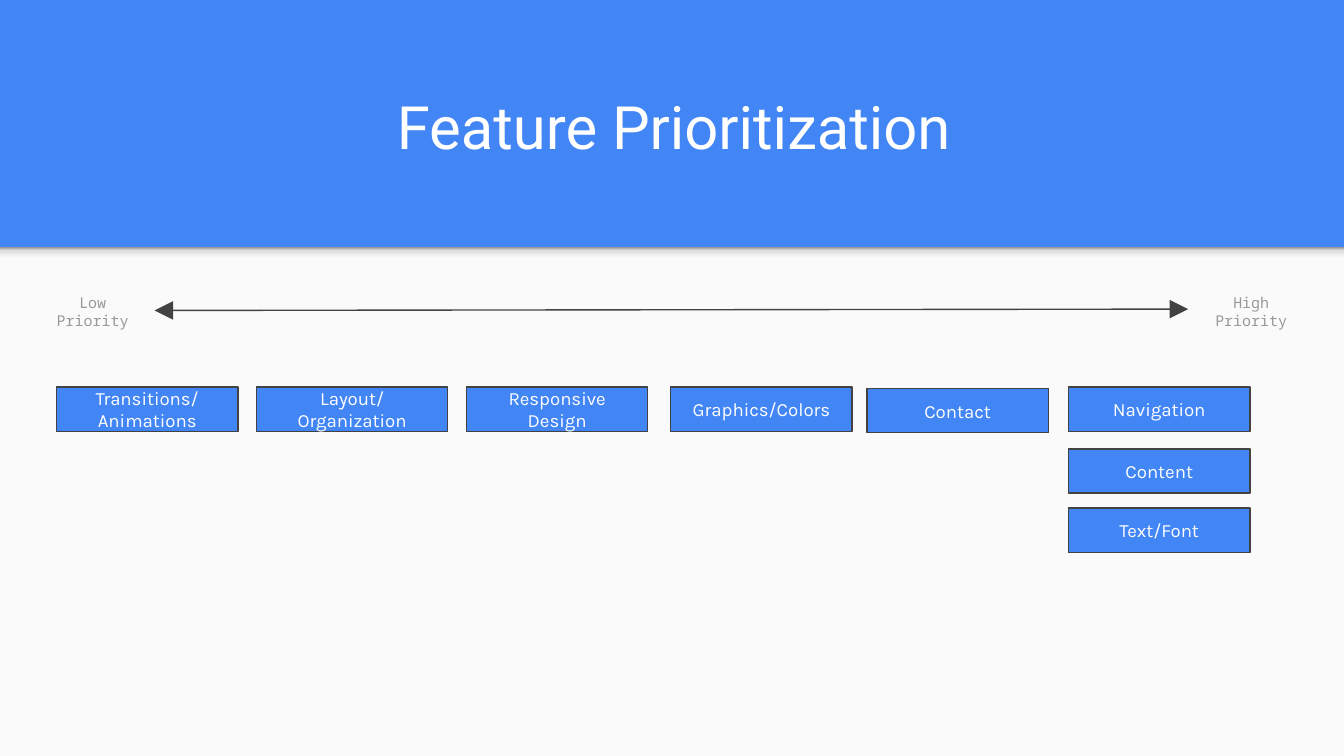
"""Build the Feature Prioritization slide."""
from lxml.etree import SubElement
from pptx import Presentation
from pptx.dml.color import RGBColor
from pptx.enum.shapes import MSO_CONNECTOR as Connector, MSO_SHAPE as Shape
from pptx.enum.text import MSO_ANCHOR as Anchor, PP_ALIGN as Align
from pptx.oxml.ns import qn
from pptx.util import Inches, Pt

COLORS = {
    "blue": "4285F4",
    "paper": "FAFAFA",
    "dark": "424242",
    "gray": "999999",
    "white": "FFFFFF",
}
SLIDE_WIDTH = 10
SLIDE_HEIGHT = SLIDE_WIDTH * 9 / 16
TITLE = "Feature Prioritization"
BAND_TOP = 1.84
SHADOW_STOPS = [(0, "F9F9F9"), (36, "F9F9F9"), (80, "DEDEDE"), (100, "999999")]
SCALE_LABELS = [("Low Priority", 0.23, 0.92), ("High Priority", 8.84, 0.94)]
ARROW = (1.15, 2.31, 8.84, 2.3)
BOX_WIDTH, BOX_HEIGHT = 1.35, 0.33
FEATURE_COLUMNS = [
    (0.42, BOX_WIDTH, [("Transitions/Animations", 2.88)]),
    (1.91, 1.42, [("Layout/Organization", 2.88)]),
    (3.47, BOX_WIDTH, [("Responsive Design", 2.88)]),
    (4.99, BOX_WIDTH, [("Graphics/Colors", 2.88)]),
    (6.45, BOX_WIDTH, [("Contact", 2.89)]),
    (7.95, BOX_WIDTH, [("Navigation", 2.88), ("Content", 3.34), ("Text/Font", 3.78)]),
]


def rgb(name):
    return RGBColor.from_string(COLORS[name])


def write_text(shape, text, size, font, color, anchor=Anchor.MIDDLE):
    frame = shape.text_frame
    frame.word_wrap = True
    frame.vertical_anchor = anchor
    frame.margin_left = frame.margin_right = Inches(0.1)
    frame.margin_top = frame.margin_bottom = Inches(0.1)
    paragraph = frame.paragraphs[0]
    paragraph.alignment = Align.CENTER
    run = paragraph.add_run()
    run.text = text
    run.font.size = Pt(size)
    run.font.name = font
    run.font.color.rgb = rgb(color)


def add_rectangle(shapes, left, top, width, height, fill, line=None):
    shape = shapes.add_shape(Shape.RECTANGLE, *map(Inches, (left, top, width, height)))
    shape.shadow.inherit = False
    shape.fill.solid()
    shape.fill.fore_color.rgb = rgb(fill)
    if line:
        shape.line.color.rgb = rgb(line)
        shape.line.width = Pt(0.75)
    else:
        shape.line.fill.background()
    return shape


def add_band_shadow(shapes):
    shadow = add_rectangle(shapes, 0, BAND_TOP, SLIDE_WIDTH, 0.12, "paper")
    shadow.fill.gradient()
    shadow.fill.gradient_angle = 90
    stops = shadow.element.spPr.find(qn("a:gradFill")).find(qn("a:gsLst"))
    for stop in list(stops):
        stops.remove(stop)
    for position, color in SHADOW_STOPS:
        stop = SubElement(stops, qn("a:gs"), pos=str(position * 1000))
        SubElement(stop, qn("a:srgbClr"), val=color)


def add_scale(shapes):
    group = shapes.add_group_shape()
    arrow = group.shapes.add_connector(Connector.STRAIGHT, *map(Inches, ARROW))
    arrow.line.color.rgb = rgb("dark")
    arrow.line.width = Pt(0.75)
    line = arrow.element.spPr.find(qn("a:ln"))
    for end in ("a:headEnd", "a:tailEnd"):
        SubElement(line, qn(end), type="triangle", w="lg", len="lg")
    SubElement(arrow.element.spPr, qn("a:effectLst"))
    for text, left, width in SCALE_LABELS:
        label = group.shapes.add_textbox(*map(Inches, (left, 2.14, width, 0.36)))
        write_text(label, text, size=8, font="Noto Sans Mono", color="gray")


def main():
    presentation = Presentation()
    presentation.slide_width = Inches(SLIDE_WIDTH)
    presentation.slide_height = Inches(SLIDE_HEIGHT)
    slide = presentation.slides.add_slide(presentation.slide_layouts[6])
    slide.background.fill.solid()
    slide.background.fill.fore_color.rgb = rgb("blue")
    shapes = slide.shapes

    add_rectangle(shapes, 0, BAND_TOP, SLIDE_WIDTH, SLIDE_HEIGHT - BAND_TOP, "paper")
    add_band_shadow(shapes)
    title = shapes.add_textbox(*map(Inches, (0.52, 0.46, 8.99, 0.84)))
    write_text(title, TITLE, size=32, font="Roboto", color="white", anchor=Anchor.BOTTOM)
    add_scale(shapes)
    for left, width, features in FEATURE_COLUMNS:
        for text, top in features:
            box = add_rectangle(shapes, left, top, width, BOX_HEIGHT, "blue", line="dark")
            write_text(box, text, size=10, font="Karla", color="white")

    presentation.save("out.pptx")


if __name__ == "__main__":
    main()
